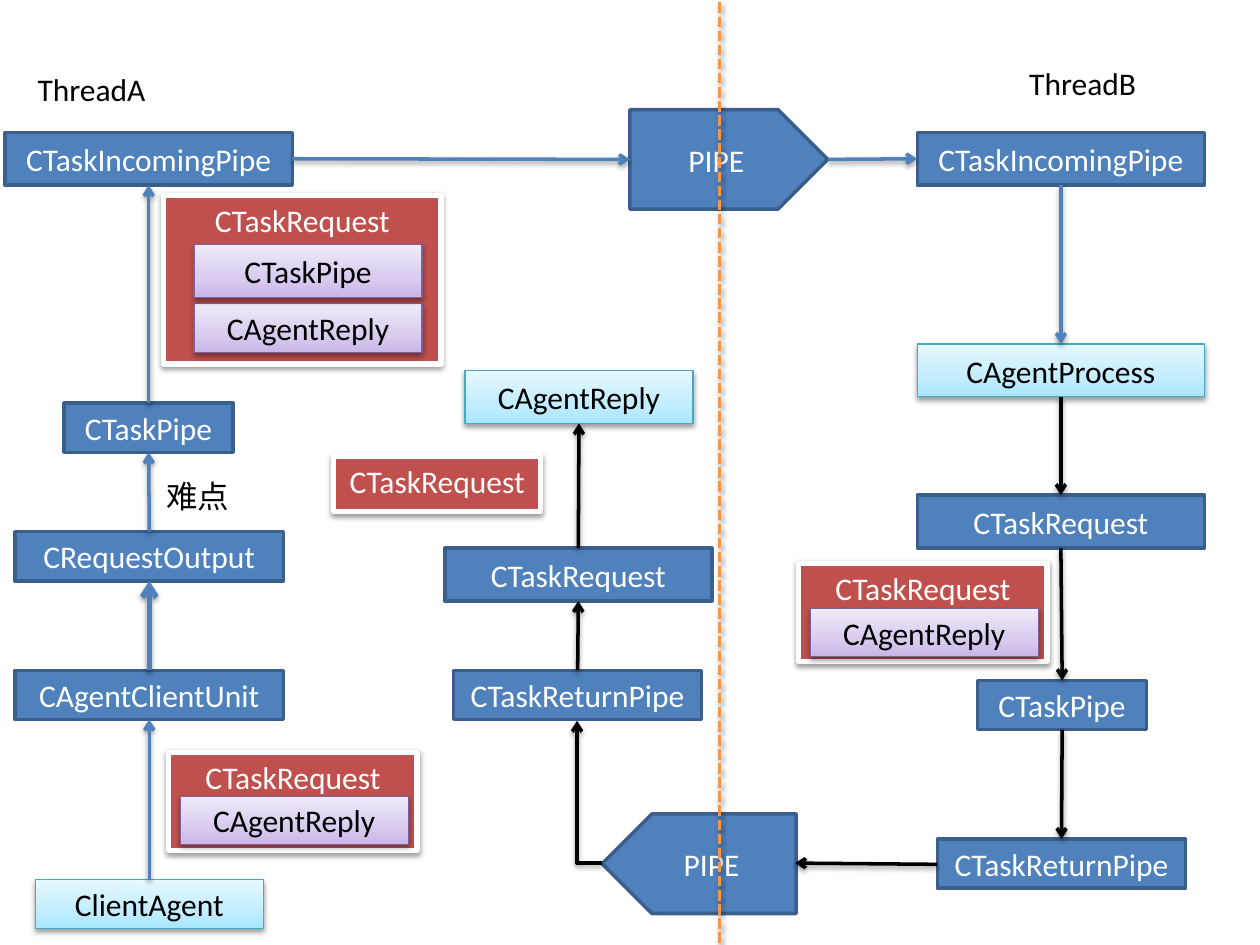
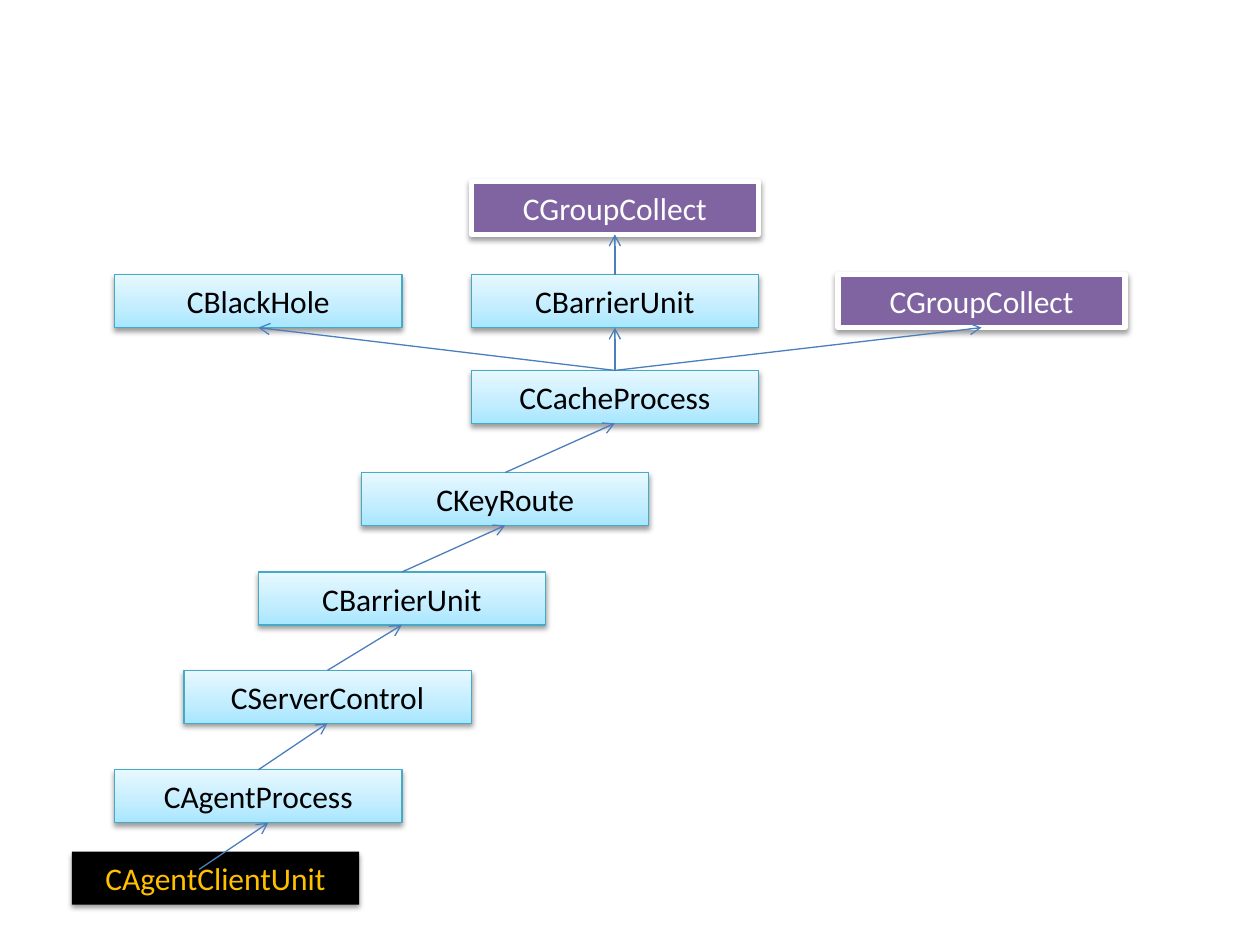
from dataclasses import dataclass
from typing import NamedTuple, Optional

from lxml.etree import SubElement
from pptx import Presentation
from pptx.dml.color import RGBColor
from pptx.enum.dml import MSO_LINE
from pptx.enum.shapes import MSO_CONNECTOR as Connector, MSO_SHAPE as Preset
from pptx.enum.text import MSO_ANCHOR as Anchor, MSO_AUTO_SIZE as AutoSize, PP_ALIGN as Align
from pptx.oxml.ns import qn
from pptx.util import Inches, Pt

FONT = "Calibri"
TEXT_SIZE = 18
COLORS = {
    "black": "000000", "white": "FFFFFF", "gold": "FFC000",
    "blue": "4F81BD", "navy": "3A5F8C", "thin_blue": "4B7EBC",
    "red": "C0504D", "violet": "8064A2", "orange": "F79646",
    "aqua_edge": "46AAC5", "lilac_edge": "7D60A0",
}
AQUA = ((0, "A7E6FF"), (35, "C1EDFF"), (100, "E7F8FF"))
LILAC = ((0, "C9B5E8"), (35, "D8CBEE"), (100, "F0EAF9"))
TOP, LEFT, BOTTOM, RIGHT = range(4)  # connection sites of a rectangle


class Look(NamedTuple):
    """Fill, outline, text colour and shadow shared by one kind of box."""
    fill: object
    edge: Optional[str]
    edge_width: float
    text: str
    shadow: bool = True
    anchor: Anchor = Anchor.MIDDLE


STEP = Look("blue", "navy", 2, "white", shadow=False)
AGENT = Look(AQUA, "aqua_edge", 0.75, "black")
PART = Look(LILAC, "lilac_edge", 0.75, "black")
REQUEST = Look("red", "white", 3, "white", anchor=Anchor.TOP)
COLLECT = Look("violet", "white", 3, "white")
CLIENT = Look("black", None, 0, "gold")


@dataclass
class Box:
    """A labelled box, in inches."""
    text: str
    left: float
    top: float
    width: float
    height: float
    look: Look = STEP
    preset: Preset = Preset.RECTANGLE
    flipped: bool = False


class Link(NamedTuple):
    """An arrow between sites of two named boxes."""
    start: str
    start_site: int
    end: str
    end_site: int
    color: str = "blue"
    width: float = 2


def color(name: str) -> RGBColor:
    """Return a palette colour."""
    return RGBColor.from_string(COLORS[name])


def add_shadow(effects) -> None:
    """Put the soft downward shadow into an effect list."""
    shadow = SubElement(effects, qn("a:outerShdw"), blurRad=str(Pt(3.1)), dist=str(Pt(1.6)),
                        dir="5400000", rotWithShape="0")
    tint = SubElement(shadow, qn("a:srgbClr"), val=COLORS["black"])
    SubElement(tint, qn("a:alpha"), val="38000")


def fill_gradient(shape, stops) -> None:
    """Fill a shape with colour stops running from bottom to top."""
    shape.fill.gradient()
    shape.fill.gradient_angle = 90
    stop_list = shape._element.spPr.find(qn("a:gradFill")).find(qn("a:gsLst"))
    for stop in list(stop_list):
        stop_list.remove(stop)
    for percent, value in stops:
        stop = SubElement(stop_list, qn("a:gs"), pos=str(percent * 1000))
        SubElement(stop, qn("a:srgbClr"), val=value)


def add_text(shape, text: str, color_name: str, align=Align.LEFT) -> None:
    """Write one run into a shape."""
    paragraph = shape.text_frame.paragraphs[0]
    paragraph.alignment = align
    run = paragraph.add_run()
    run.text = text
    run.font.name = FONT
    run.font.size = Pt(TEXT_SIZE)
    run.font.color.rgb = color(color_name)


def add_box(slide, box: Box):
    """Draw a box and return its shape."""
    look = box.look
    shape = slide.shapes.add_shape(box.preset, Inches(box.left), Inches(box.top),
                                   Inches(box.width), Inches(box.height))
    if isinstance(look.fill, str):
        shape.fill.solid()
        shape.fill.fore_color.rgb = color(look.fill)
    else:
        fill_gradient(shape, look.fill)
    if look.edge:
        shape.line.color.rgb = color(look.edge)
        shape.line.width = Pt(look.edge_width)
    else:
        shape.line.fill.background()
    shape.shadow.inherit = False
    if look.shadow:
        add_shadow(shape._element.spPr.find(qn("a:effectLst")))
    if box.flipped:
        shape._element.spPr.find(qn("a:xfrm")).set("flipH", "1")
    shape.text_frame.word_wrap = True
    shape.text_frame.vertical_anchor = look.anchor
    add_text(shape, box.text, look.text, Align.CENTER)
    return shape


def add_line(slide, start, end, color_name: str, width: float, shadow=True, arrow=True,
             kind=Connector.STRAIGHT):
    """Draw a connector between two points and return it."""
    line = slide.shapes.add_connector(kind, *(Inches(value) for value in (*start, *end)))
    line.line.color.rgb = color(color_name)
    line.line.width = Pt(width)
    if arrow:
        SubElement(line.line._get_or_add_ln(), qn("a:tailEnd"), type="arrow")
    effects = SubElement(line._element.spPr, qn("a:effectLst"))
    if shadow:
        add_shadow(effects)
    return line


def add_link(slide, shapes, link: Link, shadow=True) -> None:
    """Glue an arrow to two drawn boxes."""
    line = add_line(slide, (0, 0), (1, 1), link.color, link.width, shadow)
    line.begin_connect(shapes[link.start], link.start_site)
    line.end_connect(shapes[link.end], link.end_site)


def add_label(slide, text: str, left: float, top: float, width: float) -> None:
    """Write a free label that does not wrap."""
    label = slide.shapes.add_textbox(Inches(left), Inches(top), Inches(width), Inches(0.4))
    label.text_frame.word_wrap = False
    label.text_frame.auto_size = AutoSize.SHAPE_TO_FIT_TEXT
    add_text(label, text, "black")


def build_thread_slide(slide) -> None:
    """Show a request going from thread A to thread B and back."""
    boxes = {
        "return_pipe": Box("PIPE", 4.78, 6.46, 1.54, 0.79, preset=Preset.PENTAGON, flipped=True),
        "client": Box("ClientAgent", 0.28, 6.98, 1.81, 0.39, AGENT),
        "unit": Box("CAgentClientUnit", 0.12, 5.32, 2.13, 0.39),
        "output": Box("CRequestOutput", 0.12, 4.22, 2.13, 0.39),
        "task_a": Box("CTaskPipe", 0.51, 3.2, 1.34, 0.39),
        "pipe": Box("PIPE", 5, 0.87, 1.57, 0.79, preset=Preset.PENTAGON),
        "incoming_a": Box("CTaskIncomingPipe", 0.04, 1.05, 2.28, 0.42),
        "incoming_b": Box("CTaskIncomingPipe", 7.28, 1.05, 2.28, 0.42),
        "process": Box("CAgentProcess", 7.28, 2.73, 2.28, 0.42, AGENT),
        "request_b": Box("CTaskRequest", 7.28, 3.93, 2.28, 0.42),
        "task_b": Box("CTaskPipe", 7.76, 5.4, 1.34, 0.39),
        "return_b": Box("CTaskReturnPipe", 7.44, 6.66, 1.97, 0.39),
        "return_a": Box("CTaskReturnPipe", 3.6, 5.32, 1.97, 0.39),
        "request_a": Box("CTaskRequest", 3.53, 4.35, 2.12, 0.42),
        "reply": Box("CAgentReply", 3.69, 2.94, 1.81, 0.42, AGENT),
    }
    messages = (
        Box("CTaskRequest", 1.3, 1.55, 2.2, 1.34, REQUEST),
        Box("CAgentReply", 1.54, 2.41, 1.81, 0.39, PART),
        Box("CTaskPipe", 1.54, 1.94, 1.81, 0.42, PART),
        Box("CTaskRequest", 6.34, 4.47, 1.97, 0.78, REQUEST),
        Box("CAgentReply", 6.43, 4.83, 1.81, 0.38, PART),
        Box("CTaskRequest", 1.34, 5.97, 1.97, 0.78, REQUEST),
        Box("CAgentReply", 1.43, 6.32, 1.81, 0.38, PART),
        Box("CTaskRequest", 2.65, 3.62, 1.64, 0.44, REQUEST),
    )
    links = (
        Link("client", TOP, "unit", BOTTOM),
        Link("unit", TOP, "output", BOTTOM, width=3),
        Link("output", TOP, "task_a", BOTTOM),
        Link("task_a", TOP, "incoming_a", BOTTOM),
        Link("incoming_a", RIGHT, "pipe", LEFT),
        Link("pipe", RIGHT, "incoming_b", LEFT),
        Link("incoming_b", BOTTOM, "process", TOP),
        Link("process", BOTTOM, "request_b", TOP, "black"),
        Link("request_b", BOTTOM, "task_b", TOP, "black"),
        Link("task_b", BOTTOM, "return_b", TOP, "black"),
        Link("return_a", TOP, "request_a", BOTTOM, "black"),
        Link("request_a", TOP, "reply", BOTTOM, "black"),
    )
    shapes = {name: add_box(slide, box) for name, box in boxes.items()}
    for message in messages:
        add_box(slide, message)
    for link in links:
        add_link(slide, shapes, link)

    # The flipped pipe has its sites mirrored, so its arrows are placed by points.
    add_line(slide, (7.44, 6.86), (6.31, 6.85), "black", 2)
    bend = add_line(slide, (4.58, 5.72), (4.78, 6.85), "black", 2, kind=Connector.ELBOW)
    properties = bend._element.spPr
    properties.find(qn("a:prstGeom")).set("prst", "bentConnector2")
    properties.find(qn("a:xfrm")).set("rot", "10800000")

    border = add_line(slide, (5.71, 0.02), (5.71, 7.5), "orange", 2, arrow=False)
    border.line.dash_style = MSO_LINE.SQUARE_DOT
    add_label(slide, "ThreadA", 0.2, 0.51, 1.07)
    add_label(slide, "ThreadB", 8.07, 0.46, 1.06)
    add_label(slide, "难点", 1.22, 3.74, 0.71)


def build_route_slide(slide) -> None:
    """Show the chain of units from the client up to the collectors."""
    rows = (
        ("process", "CAgentProcess", 0.91, 6.11, AGENT),
        ("control", "CServerControl", 1.46, 5.32, AGENT),
        ("barrier", "CBarrierUnit", 2.05, 4.54, AGENT),
        ("cache", "CCacheProcess", 3.74, 2.94, AGENT),
        ("route", "CKeyRoute", 2.87, 3.75, AGENT),
        ("hole", "CBlackHole", 0.91, 2.18, AGENT),
        ("upper_barrier", "CBarrierUnit", 3.74, 2.18, AGENT),
        ("top_collect", "CGroupCollect", 3.74, 1.44, COLLECT),
        ("side_collect", "CGroupCollect", 6.65, 2.18, COLLECT),
        ("client", "CAgentClientUnit", 0.57, 6.76, CLIENT),
    )
    shapes = {name: add_box(slide, Box(text, left, top, 2.28, 0.42, look))
              for name, text, left, top, look in rows}
    chain = ("process", "control", "barrier", "route", "cache", "upper_barrier", "top_collect")
    pairs = [*zip(chain, chain[1:]), ("cache", "hole"), ("cache", "side_collect")]
    for start, end in pairs:
        add_link(slide, shapes, Link(start, TOP, end, BOTTOM, "thin_blue", 0.75), shadow=False)
    add_line(slide, (1.58, 6.9), (2.13, 6.53), "thin_blue", 0.75, shadow=False)


def main() -> None:
    """Build and save the presentation."""
    presentation = Presentation()
    presentation.slide_width = Inches(10)
    presentation.slide_height = Inches(7.5)
    blank = presentation.slide_layouts[6]
    for build in (build_thread_slide, build_route_slide):
        build(presentation.slides.add_slide(blank))
    presentation.save("out.pptx")


main()
